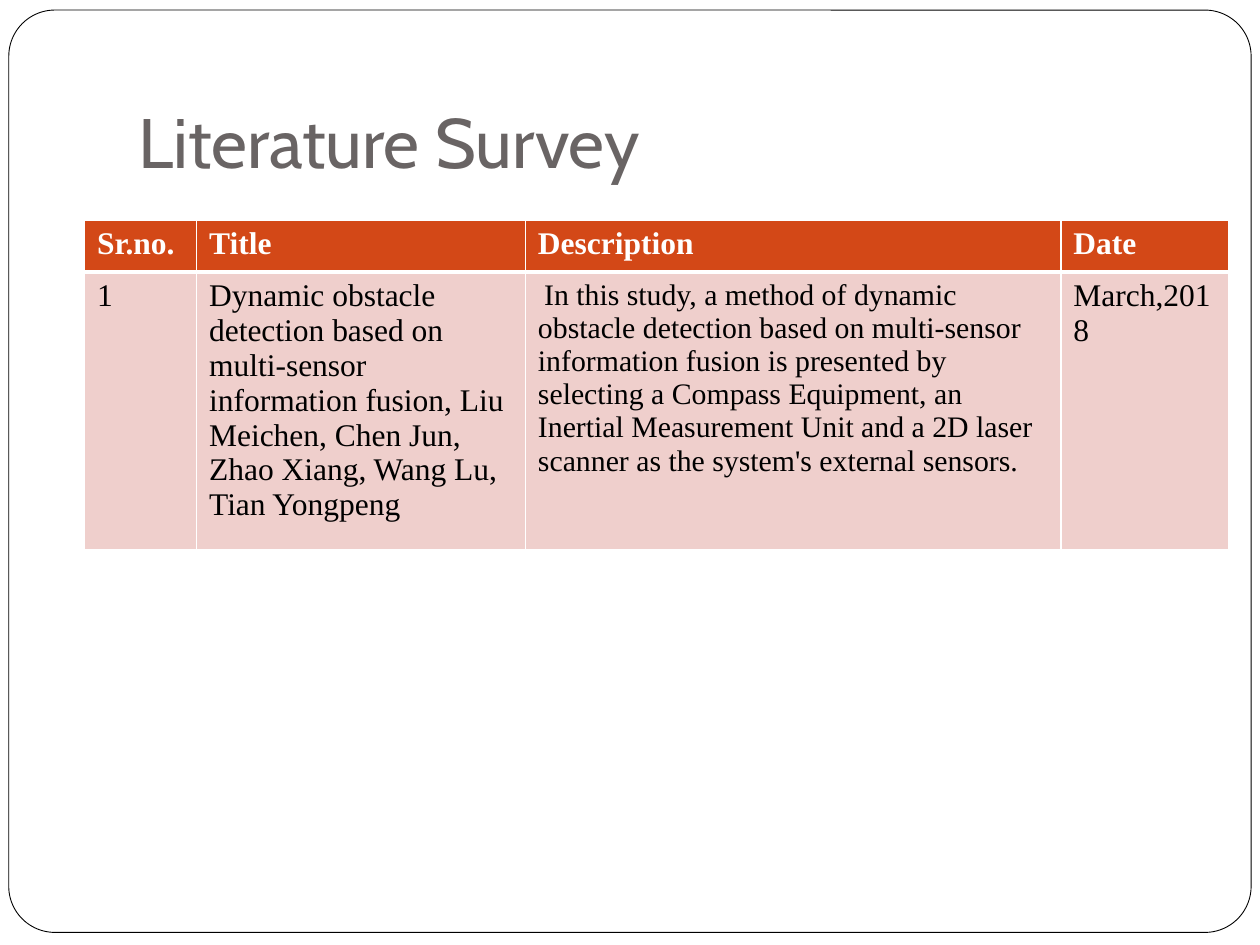
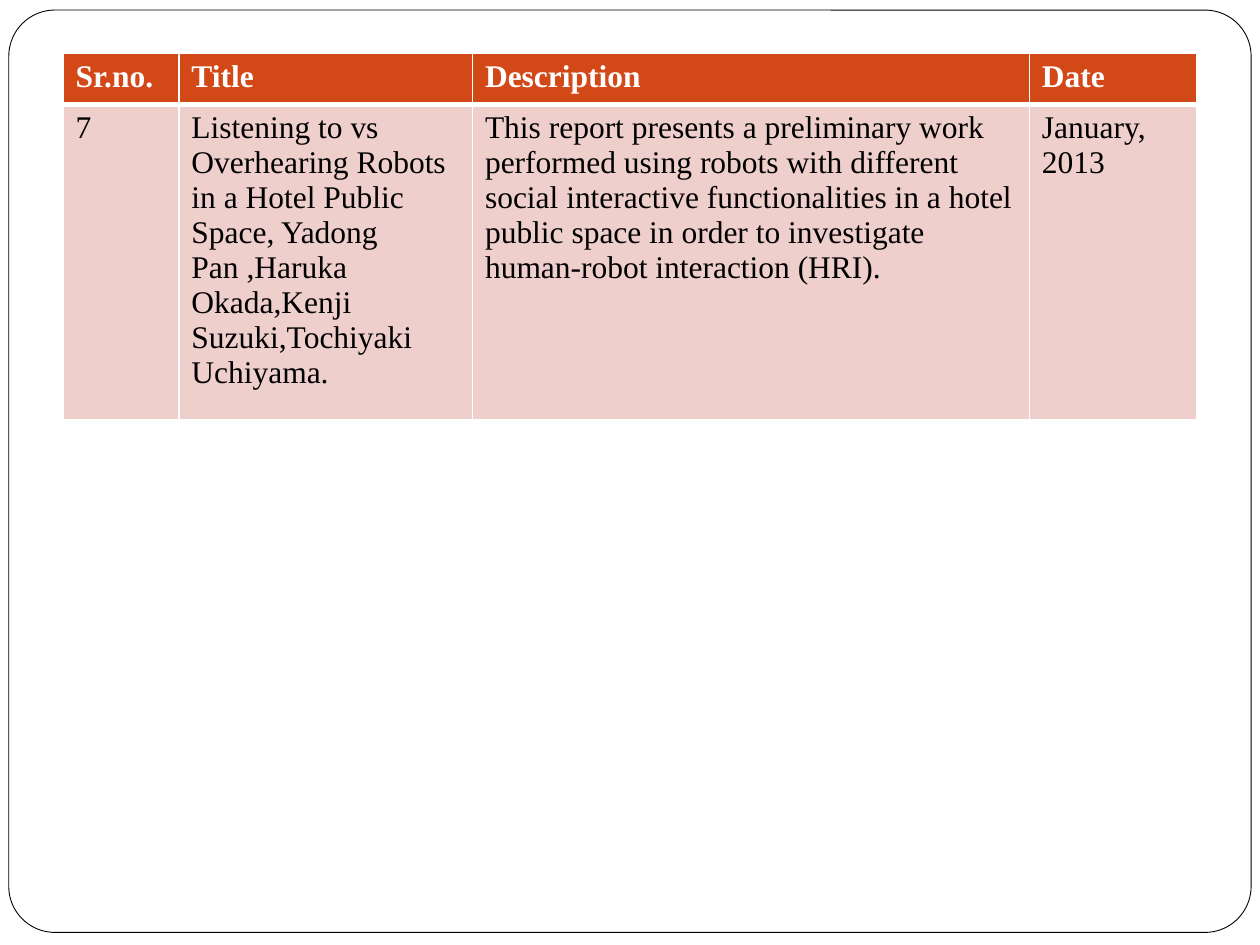
from lxml import etree
from pptx import Presentation
from pptx import util as u
from pptx.dml.color import RGBColor
from pptx.enum import shapes, text
from pptx.oxml.ns import qn

WHITE, BLACK, TITLE_GREY = "FFFFFF", "000000", "696464"
HEADER_ORANGE, BODY_PINK = "D34817", "EFCFCC"
TITLE_FONT, TABLE_FONT = "Cabin", "Times New Roman"
HEADINGS = ["Sr.no.", "Title", "Description", "Date"]
HEADER_ROWS = 4.1

deck = Presentation()
deck.slide_width, deck.slide_height = u.Inches(10), u.Inches(7.5)
GRID = deck.slide_width / 100  # 100 columns by 75 rows of square units


def color(hex_code):
    return RGBColor.from_string(hex_code)


def write(frame, content, font=TABLE_FONT, size=18, ink=BLACK, bold=False):
    """Fill the first paragraph with a string or a list of (string, size) runs."""
    runs = [(content, size)] if isinstance(content, str) else content
    for words, points in runs:
        run = frame.paragraphs[0].add_run()
        run.text = words
        run.font.name, run.font.size, run.font.bold = font, u.Pt(points), bold
        run.font.color.rgb = color(ink)


surveys = [
    {
        "title": "Literature Survey",
        "left": 6.7, "top": 17.5, "columns": [8.9, 26.1, 42.5, 13.3], "body_rows": 20.8,
        "entry": [
            "1",
            "Dynamic obstacle detection based on multi-sensor information fusion, "
            "Liu Meichen, Chen Jun, Zhao Xiang, Wang Lu, Tian Yongpeng",
            [(" ", 14),
             ("In this study, a method of dynamic obstacle detection based on "
              "multi-sensor information fusion is presented by selecting a Compass "
              "Equipment, an Inertial Measurement Unit and a 2D laser scanner as the "
              "system's external sensors.", 17)],
            "March,2018",
        ],
    },
    {
        "title": None,
        "left": 5, "top": 4.2, "columns": [9.2, 23.3, 44.2, 13.3], "body_rows": 22,
        "entry": [
            "7",
            "Listening to vs Overhearing Robots in a Hotel Public Space, Yadong Pan "
            ",Haruka Okada,Kenji Suzuki,Tochiyaki Uchiyama.",
            "This report presents a preliminary work performed using robots with "
            "different social interactive functionalities in a hotel public space in "
            "order to investigate human-robot interaction (HRI).",
            "January, 2013",
        ],
    },
]

for survey in surveys:
    slide = deck.slides.add_slide(deck.slide_layouts[6])

    border = slide.shapes.add_shape(
        shapes.MSO_SHAPE.ROUNDED_RECTANGLE,
        *(int(n * GRID) for n in (0.7, 0.8, 98.6, 73.2)))
    border.adjustments[0] = 0.05
    border.shadow.inherit = False
    border.fill.solid()
    border.fill.fore_color.rgb = color(WHITE)
    border.line.color.rgb = color(BLACK)
    border.line.width = u.Pt(0.5)

    if survey["title"]:
        heading = slide.shapes.add_textbox(
            *(int(n * GRID) for n in (10, 3, 85, 12.5))).text_frame
        heading.word_wrap = True
        heading.vertical_anchor = text.MSO_ANCHOR.BOTTOM
        heading.margin_bottom = u.Inches(0.1)
        write(heading, survey["title"], font=TITLE_FONT, size=40, ink=TITLE_GREY)

    rows = [HEADER_ROWS, survey["body_rows"]]
    area = (survey["left"], survey["top"], sum(survey["columns"]), sum(rows))
    table = slide.shapes.add_table(
        len(rows), len(HEADINGS), *(int(n * GRID) for n in area)).table
    table.horz_banding = False
    for column, width in zip(table.columns, survey["columns"]):
        column.width = int(width * GRID)
    for row, height in zip(table.rows, rows):
        row.height = int(height * GRID)

    row_styles = [
        (HEADINGS, HEADER_ORANGE, {"ink": WHITE, "bold": True}, {"lnB": 3}),
        (survey["entry"], BODY_PINK, {}, {"lnT": 3}),
    ]
    for row, (contents, fill, style, thick_edges) in zip(table.rows, row_styles):
        for cell, content in zip(row.cells, contents):
            write(cell.text_frame, content, **style)
            properties = cell._tc.get_or_add_tcPr()
            for edge in ("lnL", "lnR", "lnT", "lnB"):
                line = etree.SubElement(properties, qn(f"a:{edge}"),
                                        w=str(u.Pt(thick_edges.get(edge, 1))))
                paint = etree.SubElement(line, qn("a:solidFill"))
                etree.SubElement(paint, qn("a:srgbClr"), val=WHITE)
            cell.fill.solid()
            cell.fill.fore_color.rgb = color(fill)

deck.save("out.pptx")
